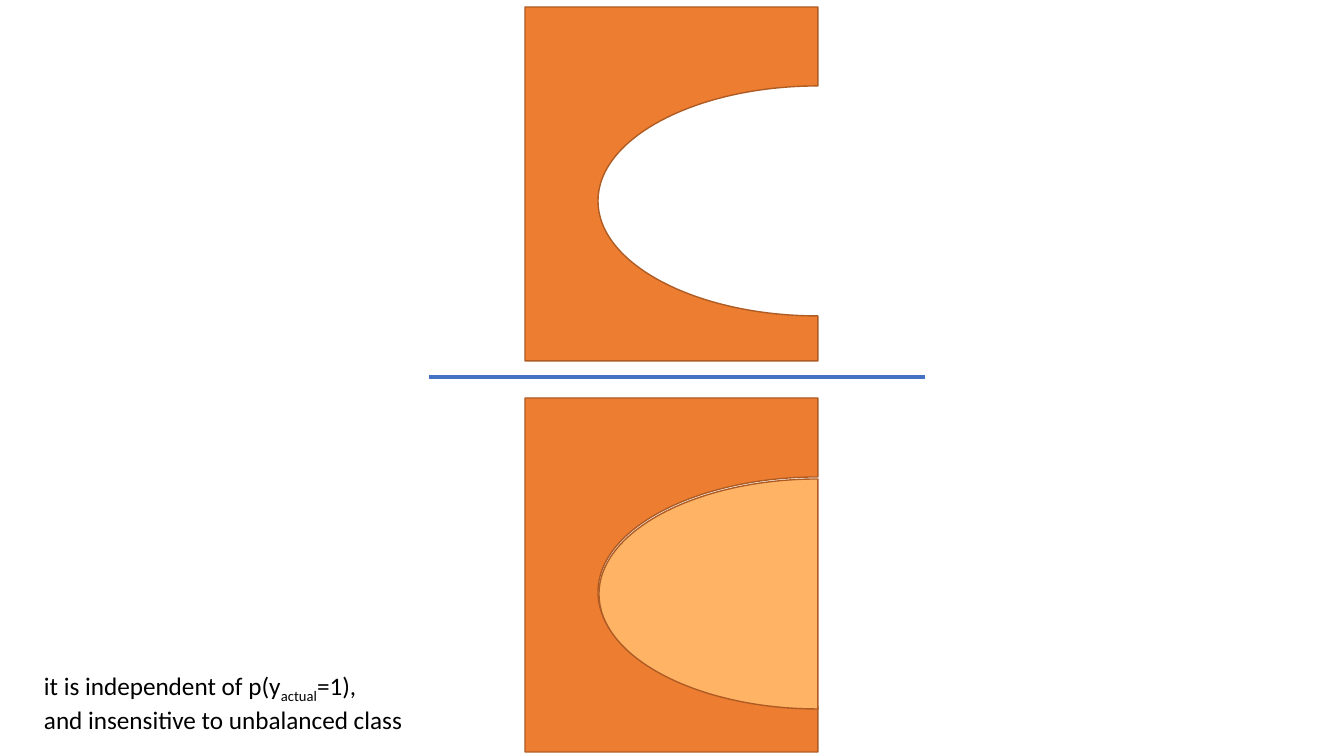
"""Build a slide with a notched block above a line and a filled one below it."""
from lxml import etree
from pptx import Presentation
from pptx import util as u
from pptx.dml.color import RGBColor
from pptx.enum import shapes, text
from pptx.oxml.ns import qn

COLORS = {"block": "ED7D31", "wedge": "FFB465", "edge": "AF5C24",
          "divider": "4472C4", "text": "000000"}
NOTE_LINES = [
    [("it is independent of p(y", 0), ("actual", -25000), ("=1), ", 0)],
    [("and insensitive to unbalanced class", 0)],
]
NOTE_BOX = (34, 665, 383, 72)
DIVIDER = (429, 377, 925, 377)
LEFT, RIGHT = 525, 818
BLOCK_HEIGHT = 354
BLOCK_TOPS = [398, 7]
NOTCH_DROP = 194
NOTCH_RADII = (220, 115)
WEDGE_CENTER_Y = 594
WEDGE_RADII = (219, 115)
BEZIER_RATIO = 0.55


def px(n):
    return u.Emu(round(n * 12192000 / 1344))


def rgb(name):
    return RGBColor.from_string(COLORS[name])


def left_arc(cy, radii):
    rx, ry = radii
    k = BEZIER_RATIO
    units = [(0, -1), (k, -1), (1, -k), (1, 0), (1, k), (k, 1), (0, 1)]
    return [(RIGHT - rx * x, cy + ry * y) for x, y in units]


def add_outline(s, before, arc, after, fill):
    pts = [(px(x), px(y)) for x, y in before + arc + after]
    builder = s.shapes.build_freeform(*pts[0])
    builder.add_line_segments(pts[1:], close=True)
    sp = builder.convert_to_shape()
    lines = list(sp._element.iter(qn("a:lnTo")))
    for i in range(len(before), len(before) + len(arc) - 1, 3):
        curve = etree.Element(qn("a:cubicBezTo"))
        lines[i].addprevious(curve)
        for line in lines[i:i + 3]:
            curve.append(line[0])
            line.getparent().remove(line)
    sp.shadow.inherit = False
    sp.fill.solid()
    sp.fill.fore_color.rgb = rgb(fill)
    sp.line.color.rgb = rgb("edge")
    sp.line.width = u.Pt(1)


def add_block(s, top):
    bottom = top + BLOCK_HEIGHT
    add_outline(s, [(LEFT, top), (RIGHT, top)],
                left_arc(top + NOTCH_DROP, NOTCH_RADII),
                [(RIGHT, bottom), (LEFT, bottom)], "block")


def add_divider(s):
    c = s.shapes.add_connector(shapes.MSO_CONNECTOR.STRAIGHT, *map(px, DIVIDER))
    c.line.color.rgb = rgb("divider")
    c.line.width = u.Pt(3.5)
    etree.SubElement(c._element.spPr, qn("a:effectLst"))


def add_note(s):
    tf = s.shapes.add_textbox(*map(px, NOTE_BOX)).text_frame
    tf.word_wrap = False
    tf.auto_size = text.MSO_AUTO_SIZE.SHAPE_TO_FIT_TEXT
    p = tf.paragraphs[0]
    for i, line in enumerate(NOTE_LINES):
        if i:
            p.add_line_break()
        for words, baseline in line:
            r = p.add_run()
            r.text = words
            r.font.size = u.Pt(18)
            r.font.name = "Calibri"
            r.font.color.rgb = rgb("text")
            if baseline:
                r._r.get_or_add_rPr().set("baseline", str(baseline))


def main():
    prs = Presentation()
    prs.slide_width, prs.slide_height = px(1344), px(756)
    s = prs.slides.add_slide(prs.slide_layouts[6])
    add_divider(s)
    lower, upper = BLOCK_TOPS
    add_block(s, lower)
    add_outline(s, [], left_arc(WEDGE_CENTER_Y, WEDGE_RADII), [], "wedge")
    add_block(s, upper)
    add_note(s)
    prs.save("out.pptx")


if __name__ == "__main__":
    main()
